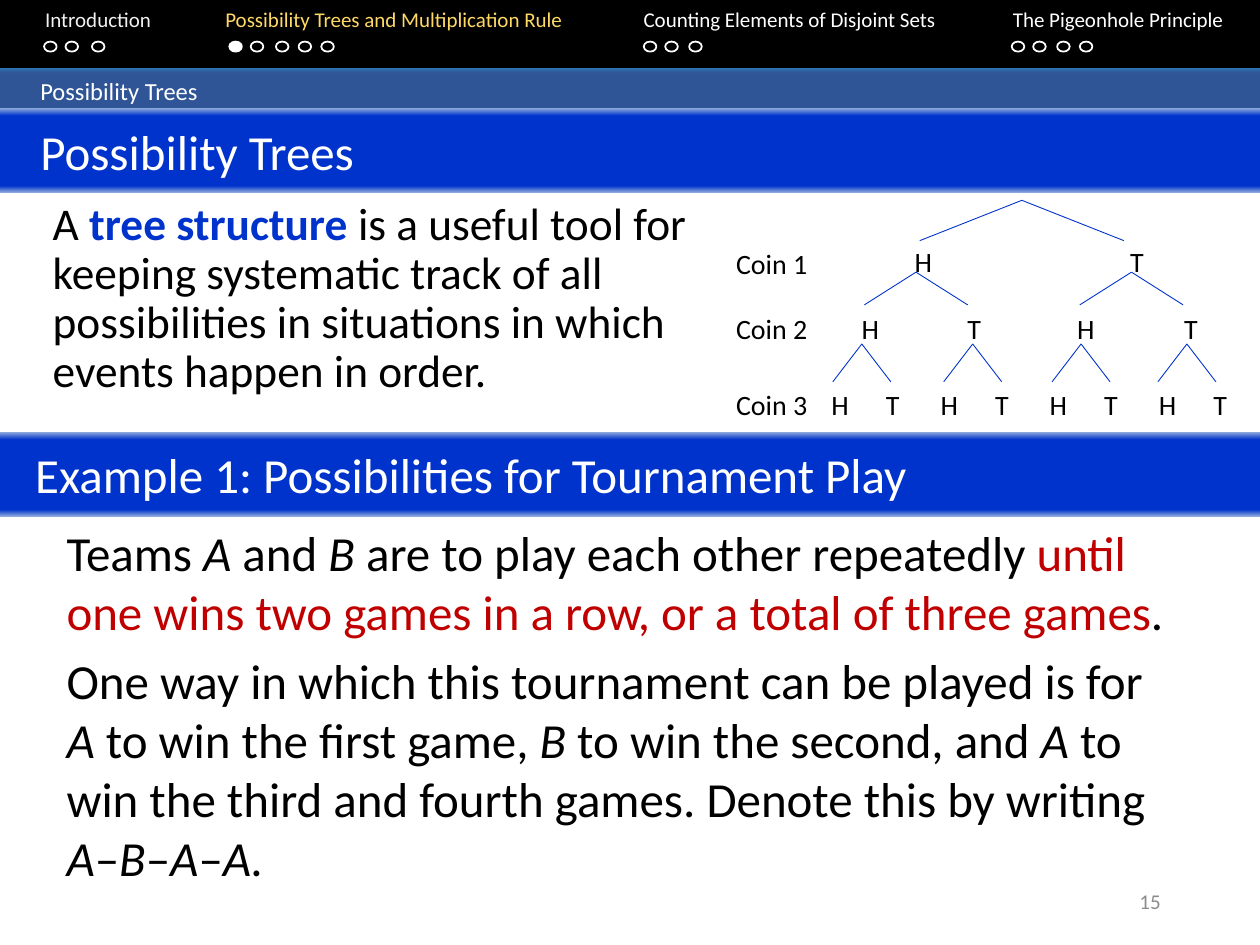
from lxml import etree
from pptx import Presentation
from pptx.dml.color import RGBColor
from pptx.enum.shapes import MSO_CONNECTOR, MSO_SHAPE
from pptx.enum.text import MSO_ANCHOR, PP_ALIGN
from pptx.oxml import parse_xml
from pptx.oxml.ns import nsdecls, qn
from pptx.util import Inches, Pt

RECT = MSO_SHAPE.RECTANGLE
OVAL = MSO_SHAPE.OVAL
LINE = MSO_CONNECTOR.STRAIGHT
MID = MSO_ANCHOR.MIDDLE
TOP = MSO_ANCHOR.TOP
LEFT, MIDST, RIGHT = PP_ALIGN.LEFT, PP_ALIGN.CENTER, PP_ALIGN.RIGHT

FONT = "Calibri"
BLUE, RED, GOLD = "0033CC", "C00000", "FFD966"
WHITE, BLACK, GREY, PALE = "FFFFFF", "000000", "8C8C8C", "F2F2F2"
DEEP = [(0, "8FAADC"), (9, BLUE), (92, BLUE), (100, "8FAADC")]
STEEL = [(0, "2E75B6"), (11, "2F5597"), (91, "2F5597"), (100, "2E75B6")]

COLS, ROWS = 100, 75
WIDE, HIGH = Inches(10), Inches(7.5)

SECTIONS = [
    ("Introduction", PALE, 2.6, [3.5, 5.2, 7.3]),
    ("Possibility Trees and Multiplication Rule", GOLD, 16.9,
     [18.2, 19.9, 21.9, 23.7, 25.5]),
    ("Counting Elements of Disjoint Sets", WHITE, 50.1, [51.1, 52.8, 54.7]),
    ("The Pigeonhole Principle", WHITE, 79.4, [80.3, 82, 83.9, 85.7]),
]
LEVELS = [
    ("Coin 1", 3.2, [24], 0, 3.2, 8.1, 3, [14.5, 31.6]),
    ("Coin 2", 8.3, [15.6, 32.7], 5.7, 8.3, 4.1, 8.3,
     [10.3, 18.7, 27.4, 35.9]),
    ("Coin 3", 14.4, [11.3, 20.1, 28.7, 37.1], 11.4, 14.4, 2.3, 14.4,
     [7.9 + 4.33 * i for i in range(8)]),
]


def col(n):
    return round(WIDE * n / COLS)


def row(n):
    return round(HIGH * n / ROWS)


def place(box):
    x, y, w, h = box
    return col(x), row(y), col(w), row(h)


def rgb(code):
    return RGBColor.from_string(code)


def style(run, size, tint, bold=False, slant=False):
    font = run.font
    font.name, font.size = FONT, Pt(size)
    font.bold, font.italic = bold, slant
    font.color.rgb = rgb(tint)


def write(frame, paras, size, align=LEFT, gap=0, lead=None):
    frame.word_wrap = True
    for i, parts in enumerate(paras):
        para = frame.add_paragraph() if i else frame.paragraphs[0]
        para.alignment = align
        para.space_before = Pt(gap)
        if lead:
            para.line_spacing = lead
        for text, *look in parts:
            run = para.add_run()
            run.text = text
            style(run, size, *look)


def text(shapes, box, paras, size, anchor=TOP, **flow):
    frame = shapes.add_textbox(*place(box)).text_frame
    frame.vertical_anchor = anchor
    write(frame, paras, size, **flow)
    return frame


def block(shapes, kind, box):
    shape = shapes.add_shape(kind, *place(box))
    shape.shadow.inherit = False
    shape.fill.background()
    shape.line.fill.background()
    return shape


def shade(shape, stops):
    marks = "".join(
        f'<a:gs pos="{at * 1000}"><a:srgbClr val="{tint}"/></a:gs>'
        for at, tint in stops)
    fill = parse_xml(
        f'<a:gradFill {nsdecls("a")} rotWithShape="1"><a:gsLst>{marks}'
        '</a:gsLst><a:lin ang="5400000" scaled="0"/></a:gradFill>')
    props = shape._element.spPr
    props.replace(props.find(qn("a:noFill")), fill)


def band(shapes, box, title, size, stops, inset):
    bar = block(shapes, RECT, box)
    shade(bar, stops)
    frame = bar.text_frame
    frame.margin_left = col(inset)
    frame.vertical_anchor = MID
    write(frame, [[(title, WHITE)]], size)


def dot(shapes, box, full):
    ring = block(shapes, OVAL, box)
    ring.line.color.rgb = rgb(WHITE)
    ring.line.width = Pt(1)
    if full:
        ring.fill.solid()
        ring.fill.fore_color.rgb = rgb(WHITE)


def menu(shapes, box):
    x, y, w, h = box
    bar = block(shapes, RECT, box)
    bar.fill.solid()
    bar.fill.fore_color.rgb = rgb(BLACK)
    parts = [("\t" + name, tint) for name, tint, _, _ in SECTIONS]
    frame = text(shapes, (x, y + 0.2, w, 5), [parts], 12)
    props = frame.paragraphs[0]._p.get_or_add_pPr()
    tabs = etree.SubElement(props, qn("a:tabLst"))
    for _, tint, stop, dots in SECTIONS:
        etree.SubElement(tabs, qn("a:tab"), pos=str(col(stop)), algn="l")
        for i, left in enumerate(dots):
            full = tint == GOLD and i == 0
            dot(shapes, (x + left, y + 3.5, 1, 0.8), full)


def twig(shapes, x, y, end, foot):
    line = shapes.add_connector(LINE, col(x), row(y), col(end), row(foot))
    line.line.color.rgb = rgb(BLUE)
    line.line.width = Pt(0.5)
    etree.SubElement(line._element.spPr, qn("a:effectLst"))


def tree(shapes, box):
    x, y, _, _ = box
    group = shapes.add_group_shape().shapes
    for name, line, tips, top, foot, half, base, spots in LEVELS:
        text(group, (x, y + line, 8.3, 3.7), [[(name, BLACK)]], 16,
             align=MIDST)
        for tip in tips:
            for side in (-half, half):
                twig(group, x + tip, y + top, x + tip + side, y + foot)
        for i, spot in enumerate(spots):
            text(group, (x + spot, y + base, 2.5, 3.7),
                 [[("HT"[i % 2], BLACK)]], 16, align=MIDST)


def intro(shapes, box):
    text(shapes, box, [[
        ("A ", BLACK), ("tree structure ", BLUE, True),
        ("is a useful tool for keeping systematic track of all "
         "possibilities in situations in which events happen in order.",
         BLACK)]], 25.9, gap=6, lead=0.9)


def slant(words):
    return [(part, BLACK, False, i % 2 == 1)
            for i, part in enumerate(words.split("*")) if part]


def story(shapes, box):
    first = slant("Teams *A* and *B* are to play each other repeatedly ")
    first += [("until one wins two games in a row, or a total of three games",
               RED), (".", BLACK)]
    then = slant("One way in which this tournament can be played is for *A* "
                 "to win the first game, *B* to win the second, and *A* to "
                 "win the third and fourth games. Denote this by writing "
                 "*A*–*B*–*A*–*A.*")
    text(shapes, box, [first, then], 28, gap=6)


def main():
    deck = Presentation()
    deck.slide_width, deck.slide_height = WIDE, HIGH
    shapes = deck.slides.add_slide(deck.slide_layouts[6]).shapes
    menu(shapes, (0, -0.2, COLS, 5.6))
    band(shapes, (0, 5.4, COLS, 3.6), "Possibility Trees", 14, STEEL, 3.2)
    text(shapes, (70.6, 69.5, 22.5, 4), [[("15", GREY)]], 12, MID,
         align=RIGHT)
    band(shapes, (0, 8.6, COLS, 6.7), "Possibility Trees", 28, DEEP, 3.2)
    intro(shapes, (3.2, 15.5, 56, 17.1))
    band(shapes, (0, 34.3, COLS, 6.7),
         "Example 1: Possibilities for Tournament Play", 28, DEEP, 2.8)
    story(shapes, (4.3, 41, 90, 29.9))
    tree(shapes, (57.1, 15.9, 40.7, 18.1))
    deck.save("out.pptx")


if __name__ == "__main__":
    main()
